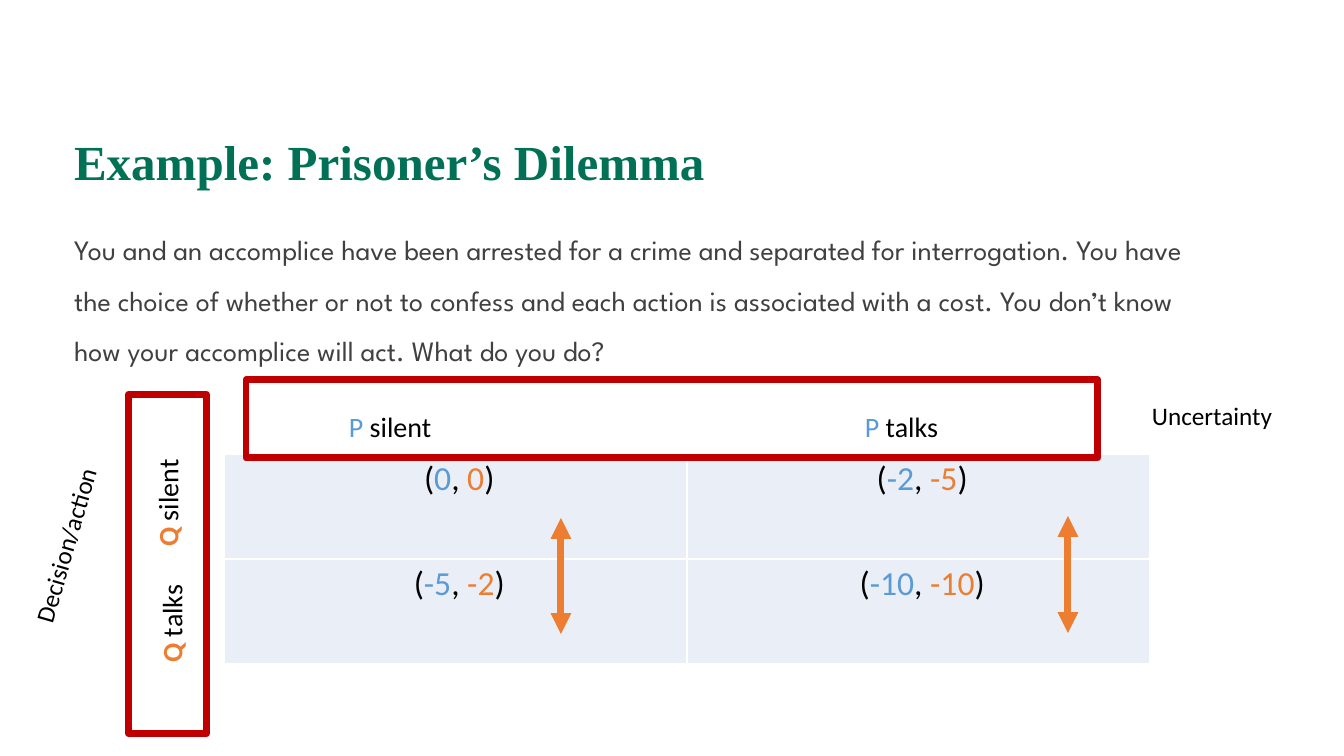
from lxml import etree
from pptx import Presentation
from pptx.dml.color import RGBColor
from pptx.enum.shapes import MSO_CONNECTOR, MSO_SHAPE
from pptx.enum.text import MSO_ANCHOR, MSO_AUTO_SIZE, PP_ALIGN
from pptx.oxml.ns import qn
from pptx.util import Emu, Pt

GREEN = RGBColor(0x00, 0x71, 0x55)
GREY = RGBColor(0x40, 0x40, 0x40)
BLACK = RGBColor(0x00, 0x00, 0x00)
BLUE = RGBColor(0x5B, 0x9B, 0xD5)
ORANGE = RGBColor(0xED, 0x7D, 0x31)
RED = RGBColor(0xC0, 0x00, 0x00)
CELL_FILL = RGBColor(0xEA, 0xEF, 0xF7)
LEFT, CENTER = PP_ALIGN.LEFT, PP_ALIGN.CENTER
TOP, MIDDLE = MSO_ANCHOR.TOP, MSO_ANCHOR.MIDDLE
NO_FIT = MSO_AUTO_SIZE.NONE
GROW = MSO_AUTO_SIZE.SHAPE_TO_FIT_TEXT
RECT, STRAIGHT = MSO_SHAPE.RECTANGLE, MSO_CONNECTOR.STRAIGHT

TITLE = "Example: Prisoner’s Dilemma"
STORY = ("You and an accomplice have been arrested for a crime and separated for "
         "interrogation. You have the choice of whether or not to confess and each "
         "action is associated with a cost. You don’t know how your accomplice will "
         "act. What do you do?")
TITLE_BOX = (64, 92, 1159, 146)
STORY_BOX = (64, 211, 1159, 480)
PAYOFF_BOX = (224, 454, 926, 210)
PAYOFFS = [[("0", "0"), ("-2", "-5")],
           [("-5", "-2"), ("-10", "-10")]]

# (box, rotation, size, runs of (text, colour, bold))
LABELS = [
    ((339, 405, 259, 44), 0, 20, [("P ", BLUE, False), ("silent", BLACK, False)]),
    ((855, 405, 185, 44), 0, 20, [("P ", BLUE, False), ("talks", BLACK, False)]),
    ((42, 521, 259, 44), 270, 20, [("Q ", ORANGE, True), ("talks", BLACK, False)]),
    ((38, 405, 259, 44), 270, 20, [("Q ", ORANGE, True), ("silent", BLACK, False)]),
    ((-25, 524, 181, 40), 286.2, 18, [("Decision/action", BLACK, False)]),
    ((1142, 395, 181, 40), 0, 18, [("Uncertainty", BLACK, False)]),
]
FRAMES = [((246, 380, 852, 78), 0), ((-2, 525, 339, 78), 270)]
ARROWS = [(561, 518, 634), (1068, 516, 633)]  # x, top, bottom


def px(n):
    return Emu(round(n * 914400 / 100.8))


def add_run(p, text, size, color, font="Calibri", bold=False):
    r = p.add_run()
    r.text = text
    for name, value in {"name": font, "size": Pt(size), "bold": bold}.items():
        setattr(r.font, name, value)
    r.font.color.rgb = color


def fill_placeholder(sp, box, anchor, spacing):
    """Move a placeholder and return its first paragraph, ready for runs."""
    sp.left, sp.top, sp.width, sp.height = map(px, box)
    tf = sp.text_frame
    for name, value in {"auto_size": NO_FIT, "word_wrap": True,
                        "vertical_anchor": anchor}.items():
        setattr(tf, name, value)
    p = tf.paragraphs[0]
    p.alignment = LEFT
    p.line_spacing = spacing
    p.space_before = Pt(0)
    return p


def add_label(s, box, rotation, size, runs):
    sp = s.shapes.add_textbox(*map(px, box))
    sp.rotation = rotation
    tf = sp.text_frame
    tf.word_wrap = True
    tf.auto_size = GROW
    for text, color, bold in runs:
        add_run(tf.paragraphs[0], text, size, color, bold=bold)


def add_frame(s, box, rotation):
    sp = s.shapes.add_shape(RECT, *map(px, box))
    sp.rotation = rotation
    sp.shadow.inherit = False
    sp.fill.background()
    sp.line.color.rgb = RED
    sp.line.width = Pt(5)


def add_arrow(s, x, top, bottom):
    line = s.shapes.add_connector(STRAIGHT, px(x), px(top), px(x), px(bottom))
    line.line.color.rgb = ORANGE
    line.line.width = Pt(5)
    ln = line.line._get_or_add_ln()
    for tag in ("a:headEnd", "a:tailEnd"):
        etree.SubElement(ln, qn(tag), type="triangle")
    etree.SubElement(line._element.spPr, qn("a:effectLst"))


def add_payoffs(s):
    table = s.shapes.add_table(len(PAYOFFS), len(PAYOFFS[0]), *map(px, PAYOFF_BOX)).table
    table.first_row = table.horz_banding = False
    for i, row in enumerate(PAYOFFS):
        for j, (p_cost, q_cost) in enumerate(row):
            cell = table.cell(i, j)
            cell.fill.solid()
            cell.fill.fore_color.rgb = CELL_FILL
            p = cell.text_frame.paragraphs[0]
            p.alignment = CENTER
            for text, color in ((" (", BLACK), (p_cost, BLUE), (", ", BLACK),
                                (q_cost, ORANGE), (")", BLACK)):
                add_run(p, text, 24, color)


def main():
    prs = Presentation()
    prs.slide_width, prs.slide_height = px(1344), px(756)
    s = prs.slides.add_slide(prs.slide_layouts[1])

    p = fill_placeholder(s.shapes.title, TITLE_BOX, MIDDLE, 0.9)
    add_run(p, TITLE, 35, GREEN, "Times New Roman", True)
    p = fill_placeholder(s.placeholders[1], STORY_BOX, TOP, 1.5)
    p.space_after = Pt(4)
    pPr = p._p.get_or_add_pPr()
    pPr.set("marL", "0")
    pPr.set("indent", "0")
    etree.SubElement(pPr, qn("a:buNone"))
    add_run(p, STORY, 20, GREY, "League Spartan")

    add_payoffs(s)
    for label in LABELS:
        add_label(s, *label)
    for arrow in ARROWS:
        add_arrow(s, *arrow)
    for frame in FRAMES:
        add_frame(s, *frame)
    prs.save("out.pptx")


if __name__ == "__main__":
    main()
